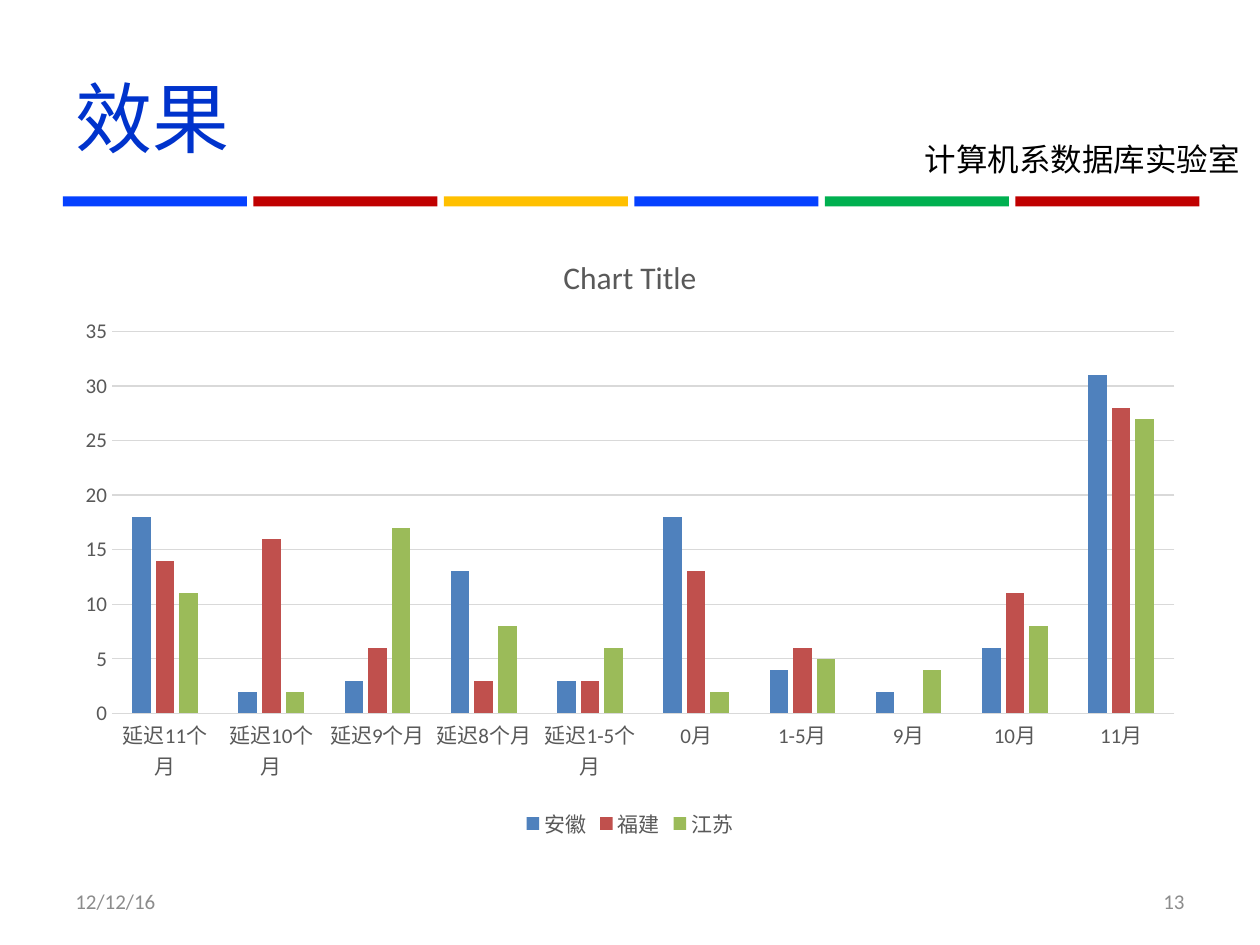
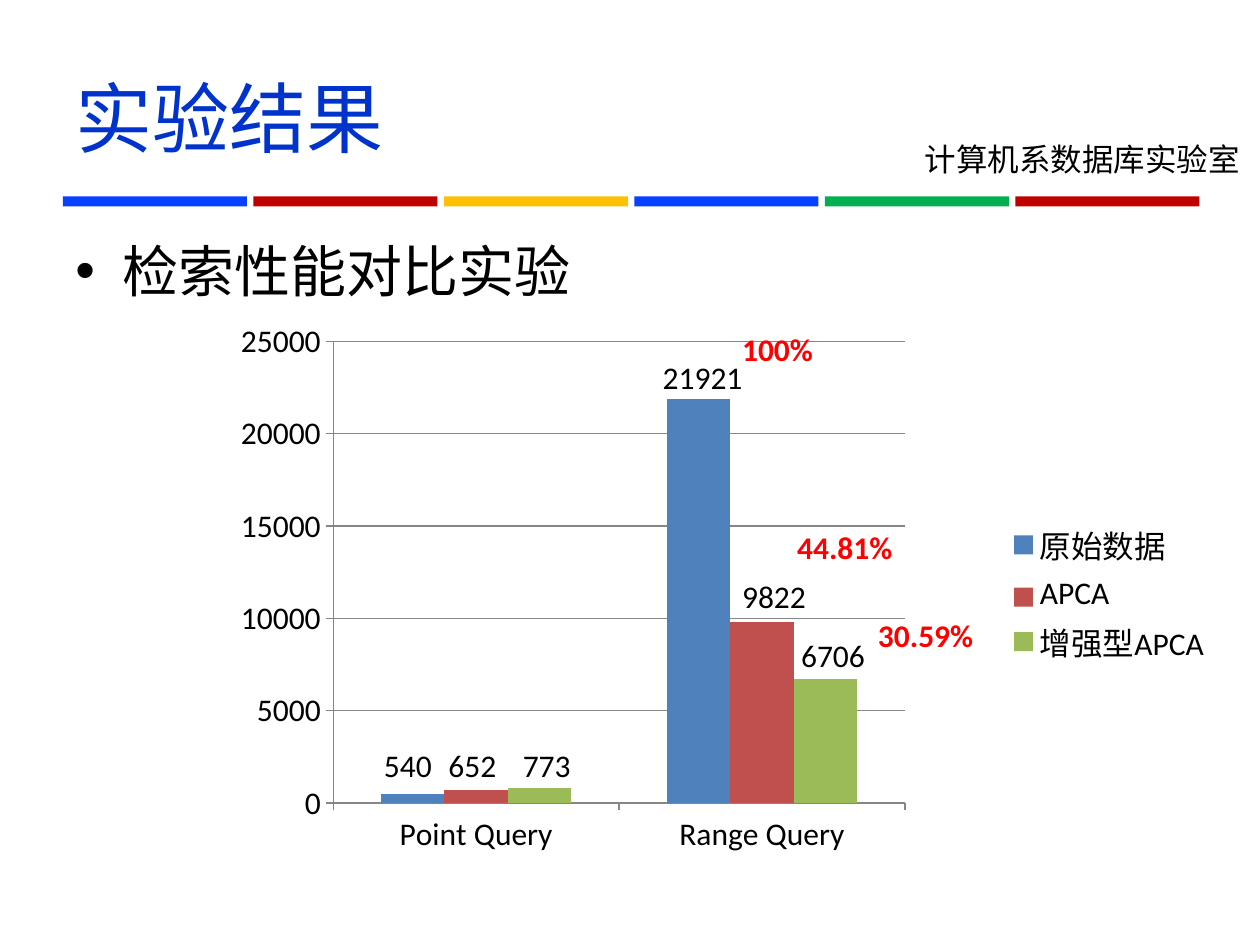
"""Build two slides of database lab results with column charts."""
from dataclasses import dataclass
from typing import Optional

from lxml.etree import SubElement
from pptx import Presentation
from pptx.chart.chart import Chart
from pptx.chart.data import CategoryChartData
from pptx.dml.color import RGBColor
from pptx.enum.chart import XL_CHART_TYPE as ChartType
from pptx.enum.chart import XL_LEGEND_POSITION as LegendPos
from pptx.enum.chart import XL_TICK_MARK as Tick
from pptx.enum.shapes import MSO_SHAPE as Shape
from pptx.enum.text import MSO_ANCHOR as Anchor
from pptx.enum.text import MSO_AUTO_SIZE as AutoSize
from pptx.enum.text import PP_ALIGN as Align
from pptx.oxml.ns import qn
from pptx.slide import Slide
from pptx.util import Cm, Pt

BLACK = RGBColor(0x00, 0x00, 0x00)
WHITE = RGBColor(0xFF, 0xFF, 0xFF)
TITLE_BLUE = RGBColor(0x00, 0x33, 0xCC)
BAND_BLUE = RGBColor(0x05, 0x41, 0xFF)
BAND_RED = RGBColor(0xC0, 0x00, 0x00)
BAND_YELLOW = RGBColor(0xFF, 0xC0, 0x00)
BAND_GREEN = RGBColor(0x00, 0xB0, 0x50)
MARK_RED = RGBColor(0xFF, 0x00, 0x00)
FOOTER_GREY = RGBColor(0x8C, 0x8C, 0x8C)
CHART_GREY = RGBColor(0x59, 0x59, 0x59)
PALE_GREY = RGBColor(0xD9, 0xD9, 0xD9)
AXIS_GREY = RGBColor(0x86, 0x86, 0x86)
SERIES_COLORS = (
    RGBColor(0x4F, 0x81, 0xBD),
    RGBColor(0xC0, 0x50, 0x4D),
    RGBColor(0x9B, 0xBB, 0x59),
)
BANDS = (BAND_BLUE, BAND_RED, BAND_YELLOW, BAND_BLUE, BAND_GREEN, BAND_RED)
MARGIN, CONTENT_WIDTH = 1.27, 22.86
CONTENT_TOP, CONTENT_HEIGHT = 4.65, 12.37
LINE_HEIGHT = 1.02


@dataclass(frozen=True)
class Box:
    """Position and size in centimetres."""

    left: float
    top: float
    width: float
    height: float = LINE_HEIGHT

    def lengths(self) -> tuple[Cm, Cm, Cm, Cm]:
        """Return the four lengths for a shape call."""
        return Cm(self.left), Cm(self.top), Cm(self.width), Cm(self.height)


@dataclass(frozen=True)
class Label:
    """A text with its place and format."""

    text: str
    box: Box
    size: int = 18
    color: RGBColor = BLACK
    font: str = "Calibri"
    bold: bool = False
    wrap: bool = False
    anchor: Anchor = Anchor.TOP
    align: Align = Align.LEFT
    bullet: bool = False


@dataclass(frozen=True)
class ChartSpec:
    """Data and look of a clustered column chart."""

    box: Box
    categories: tuple[str, ...]
    series: dict[str, tuple[Optional[int], ...]]
    size: int
    color: RGBColor
    line: RGBColor
    tick: Tick
    legend: LegendPos
    gap: int
    overlap: int
    maximum: int
    value_line: bool
    title: str = ""
    plot: Optional[tuple[float, float, float, float]] = None


DELAY_CHART = ChartSpec(
    box=Box(MARGIN, CONTENT_TOP, CONTENT_WIDTH, CONTENT_HEIGHT),
    categories=("延迟11个月", "延迟10个月", "延迟9个月", "延迟8个月", "延迟1-5个月",
                "0月", "1-5月", "9月", "10月", "11月"),
    series={
        "安徽": (18, 2, 3, 13, 3, 18, 4, 2, 6, 31),
        "福建": (14, 16, 6, 3, 3, 13, 6, None, 11, 28),
        "江苏": (11, 2, 17, 8, 6, 2, 5, 4, 8, 27),
    },
    size=12, color=CHART_GREY, line=PALE_GREY, tick=Tick.NONE,
    legend=LegendPos.BOTTOM, gap=219, overlap=-27, maximum=35,
    value_line=False, title="Chart Title",
)
QUERY_CHART = ChartSpec(
    box=Box(4.29, 6.32, 20.4, 11.28),
    categories=("Point Query", "Range Query"),
    series={"原始数据": (500, 21900), "APCA": (700, 9800), "增强型APCA": (800, 6700)},
    size=18, color=BLACK, line=AXIS_GREY, tick=Tick.OUTSIDE,
    legend=LegendPos.RIGHT, gap=150, overlap=0, maximum=25000,
    value_line=True, plot=(0.119, 0.05, 0.565, 0.825),
)
FOOTERS = (
    Label("12/12/16", Box(MARGIN, 17.65, 5.92), 12, FOOTER_GREY,
          wrap=True, anchor=Anchor.MIDDLE),
    Label("13", Box(18.21, 17.65, 5.92), 12, FOOTER_GREY,
          wrap=True, anchor=Anchor.MIDDLE, align=Align.RIGHT),
)
BODY = Label("检索性能对比实验", Box(MARGIN, CONTENT_TOP, CONTENT_WIDTH, CONTENT_HEIGHT),
             32, font="Arial", wrap=True, bullet=True)
COUNTS = (
    Label("540", Box(7.49, 14.91, 1.5)),
    Label("652", Box(8.79, 14.91, 1.5)),
    Label("773", Box(10.29, 14.91, 1.5)),
    Label("21921", Box(13.11, 7.09, 2.13)),
    Label("9822", Box(14.71, 11.51, 1.8)),
    Label("6706", Box(15.9, 12.7, 1.8)),
)
SHARES = (
    Label("100%", Box(14.71, 6.53, 1.96), color=MARK_RED, bold=True),
    Label("44.81%", Box(15.82, 10.52, 2.44), color=MARK_RED, bold=True),
    Label("30.59%", Box(17.45, 12.29, 2.44), color=MARK_RED, bold=True),
)


def set_attrs(target: object, values: dict[str, object]) -> None:
    """Set each named attribute on the target."""
    for name, value in values.items():
        setattr(target, name, value)


def set_font(font: object, size: int, color: RGBColor,
             name: str = "Calibri", bold: bool = False) -> None:
    """Give a font its size, name, weight and colour."""
    set_attrs(font, {"size": Pt(size), "name": name, "bold": bold})
    font.color.rgb = color


def add_label(s: Slide, label: Label) -> None:
    """Draw one text box."""
    tf = s.shapes.add_textbox(*label.box.lengths()).text_frame
    set_attrs(tf, {
        "word_wrap": label.wrap,
        "auto_size": AutoSize.NONE if label.wrap else AutoSize.SHAPE_TO_FIT_TEXT,
        "vertical_anchor": label.anchor,
    })
    p = tf.paragraphs[0]
    p.alignment = label.align
    r = p.add_run()
    r.text = label.text
    set_font(r.font, label.size, label.color, label.font, label.bold)
    if label.bullet:
        p.space_before = Pt(label.size * 0.2)
        pPr = p._p.get_or_add_pPr()
        pPr.set("marL", str(Cm(0.95)))
        pPr.set("indent", str(-Cm(0.95)))
        SubElement(pPr, qn("a:buFont")).set("typeface", "Arial")
        SubElement(pPr, qn("a:buChar")).set("char", "•")


def add_frame(s: Slide, title: str) -> None:
    """Draw the background, lab name, colour bands and title."""
    s.background.fill.solid()
    s.background.fill.fore_color.rgb = WHITE
    add_label(s, Label("计算机系数据库实验室", Box(18.39, 2.69, 7.19)))
    for i, color in enumerate(BANDS):
        box = Box(MARGIN + 3.84 * i, 3.96, 3.71, 0.2)
        sp = s.shapes.add_shape(Shape.RECTANGLE, *box.lengths())
        sp.shadow.inherit = False
        sp.fill.solid()
        sp.fill.fore_color.rgb = color
        sp.line.fill.background()
    add_label(s, Label(title, Box(MARGIN, 0.76, CONTENT_WIDTH, 3.18), 44, TITLE_BLUE,
                       "Arial", wrap=True, anchor=Anchor.MIDDLE))


def set_line(line: object, color: RGBColor) -> None:
    """Give a chart line its colour and hairline width."""
    line.color.rgb = color
    line.width = Pt(0.75)


def place_plot(chart: Chart, plot: tuple[float, float, float, float]) -> None:
    """Fix the inner plot area as fractions of the chart."""
    area = chart._chartSpace.chart.plotArea
    for old in area.findall(qn("c:layout")):
        area.remove(old)
    layout = SubElement(area, qn("c:layout"))
    area.insert(0, layout)
    manual = SubElement(layout, qn("c:manualLayout"))
    values = dict(layoutTarget="inner", xMode="edge", yMode="edge")
    values.update(zip("xywh", map(str, plot)))
    for name, value in values.items():
        SubElement(manual, qn(f"c:{name}")).set("val", value)


def add_column_chart(s: Slide, spec: ChartSpec) -> None:
    """Draw a clustered column chart."""
    data = CategoryChartData()
    data.categories = spec.categories
    for name, values in spec.series.items():
        data.add_series(name, values)
    chart = s.shapes.add_chart(ChartType.COLUMN_CLUSTERED, *spec.box.lengths(), data).chart
    set_font(chart.font, spec.size, spec.color)
    chart.has_title = bool(spec.title)
    if spec.title:
        p = chart.chart_title.text_frame.paragraphs[0]
        r = p.add_run()
        r.text = spec.title
        set_font(r.font, 18, spec.color)
    chart.has_legend = True
    set_attrs(chart.legend, {"position": spec.legend, "include_in_layout": False})
    set_font(chart.legend.font, spec.size, spec.color)

    columns = chart.plots[0]
    set_attrs(columns, {"gap_width": spec.gap, "overlap": spec.overlap,
                        "vary_by_categories": False})
    for series, color in zip(columns.series, SERIES_COLORS):
        series.format.fill.solid()
        series.format.fill.fore_color.rgb = color

    for axis in (chart.category_axis, chart.value_axis):
        set_attrs(axis, {"major_tick_mark": spec.tick, "minor_tick_mark": Tick.NONE})
        set_font(axis.tick_labels.font, spec.size, spec.color)
        set_line(axis.format.line, spec.line)
    value_axis = chart.value_axis
    set_attrs(value_axis, {"minimum_scale": 0, "maximum_scale": spec.maximum,
                           "major_unit": 5 if spec.maximum < 100 else 5000,
                           "has_major_gridlines": True})
    set_line(value_axis.major_gridlines.format.line, spec.line)
    if not spec.value_line:
        value_axis.format.line.fill.background()
    if spec.plot:
        place_plot(chart, spec.plot)


def main() -> None:
    """Build both slides and save the file."""
    prs = Presentation()
    prs.slide_width, prs.slide_height = Cm(25.4), Cm(19.05)
    blank = prs.slide_layouts[6]

    s = prs.slides.add_slide(blank)
    add_frame(s, "效果")
    add_column_chart(s, DELAY_CHART)
    for label in FOOTERS:
        add_label(s, label)

    s = prs.slides.add_slide(blank)
    add_frame(s, "实验结果")
    add_label(s, BODY)
    add_column_chart(s, QUERY_CHART)
    for label in COUNTS + SHARES:
        add_label(s, label)

    prs.save("out.pptx")


if __name__ == "__main__":
    main()
